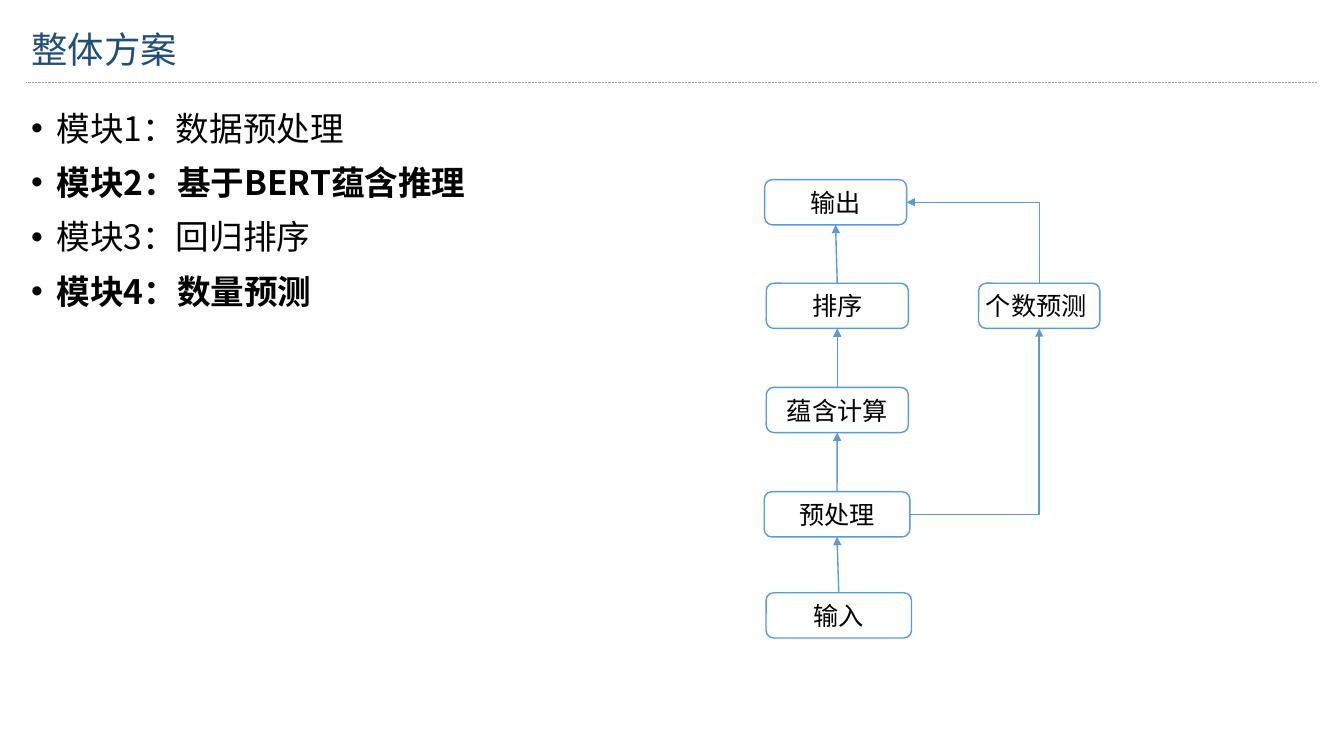
from lxml import etree
from pptx import Presentation
from pptx.dml.color import RGBColor
from pptx.enum.dml import MSO_LINE
from pptx.enum.shapes import MSO_CONNECTOR, MSO_SHAPE
from pptx.enum.text import MSO_ANCHOR, PP_ALIGN
from pptx.oxml.ns import qn
from pptx.util import Pt

STRAIGHT, ELBOW = MSO_CONNECTOR.STRAIGHT, MSO_CONNECTOR.ELBOW
BOX = MSO_SHAPE.FLOWCHART_ALTERNATE_PROCESS
DOTS = MSO_LINE.ROUND_DOT
MIDDLE, TOP = MSO_ANCHOR.MIDDLE, MSO_ANCHOR.TOP
CENTER, LEFT = PP_ALIGN.CENTER, PP_ALIGN.LEFT
UP, DOWN, RIGHT = 0, 2, 3  # connection sites of a box

CJK, LATIN = "Noto Sans CJK SC", "Calibri"
COLORS = {"title": "1F4E79", "text": "000000", "rule": "A5A5A5",
          "flow": "5B9BD5", "box": "FFFFFF"}

TITLE = "整体方案"
MODULES = [("模块1：数据预处理", False), ("模块2：基于BERT蕴含推理", True),
           ("模块3：回归排序", False), ("模块4：数量预测", True)]

# name: left, top, width, alignment
STEPS = {
    "输入": (547.2, 423.4, 103.9, CENTER),
    "预处理": (545.9, 351.2, 104, CENTER),
    "蕴含计算": (547.3, 276.7, 101.5, CENTER),
    "排序": (547.3, 202.3, 101.5, CENTER),
    "输出": (546.2, 128.3, 101.4, CENTER),
    "个数预测": (699, 202.3, 86.6, LEFT),
}
STEP_H = 32.3
CHAIN = ["输入", "预处理", "蕴含计算", "排序", "输出"]


def color(key):
    return RGBColor.from_string(COLORS[key])


def style(para, font, size, tint, bold=False):
    for run in para.runs:
        run.font.name, run.font.size, run.font.bold = font, Pt(size), bold
        run.font.color.rgb = color(tint)
        east = etree.SubElement(run._r.get_or_add_rPr(), qn("a:ea"))
        east.set("typeface", CJK)


def frame(shape, anchor):
    text = shape.text_frame
    text.word_wrap, text.vertical_anchor = True, anchor
    text.margin_left = text.margin_right = Pt(3.6)
    text.margin_top = text.margin_bottom = Pt(3.6)
    return text


def add_text(slide, left, top, width, height, anchor):
    box = slide.shapes.add_textbox(Pt(left), Pt(top), Pt(width), Pt(height))
    return frame(box, anchor)


def add_bullet(para):
    props = para._p.get_or_add_pPr()
    props.set("marL", str(Pt(18)))
    props.set("indent", str(-Pt(18)))
    font = etree.SubElement(props, qn("a:buFont"))
    font.set("typeface", "Arial")
    etree.SubElement(props, qn("a:buChar")).set("char", "•")


def add_step(slide, name):
    left, top, width, align = STEPS[name]
    box = slide.shapes.add_shape(BOX, Pt(left), Pt(top), Pt(width), Pt(STEP_H))
    box.shadow.inherit = False
    box.fill.solid()
    box.fill.fore_color.rgb = color("box")
    box.line.color.rgb = color("flow")
    box.line.width = Pt(1)
    text = frame(box, MIDDLE)
    text.text = name
    text.paragraphs[0].alignment = align
    style(text.paragraphs[0], LATIN, 18, "text")
    return box


def add_line(slide, kind, tint, width, ends=(0, 0, 0, 0)):
    line = slide.shapes.add_connector(kind, *map(Pt, ends))
    line.line.color.rgb = color(tint)
    line.line.width = Pt(width)
    etree.SubElement(line._element.spPr, qn("a:effectLst"))
    return line


def link(slide, start, end, kind=STRAIGHT, tip="a:tailEnd"):
    """Join two (box, site) pairs; an elbow has a single corner."""
    line = add_line(slide, kind, "flow", 1)
    line.begin_connect(*start)
    line.end_connect(*end)
    if kind == ELBOW:
        line._element.spPr.find(qn("a:prstGeom")).set("prst", "bentConnector2")
    etree.SubElement(line.line._get_or_add_ln(), qn(tip)).set("type", "triangle")


def main():
    deck = Presentation()
    deck.slide_width, deck.slide_height = Pt(960), Pt(540)
    slide = deck.slides.add_slide(deck.slide_layouts[6])

    rule = add_line(slide, STRAIGHT, "rule", 0.5, (18.7, 59, 941, 59))
    rule.line.dash_style = DOTS

    title = add_text(slide, 18.7, 15.8, 828, 42.5, MIDDLE)
    title.text = TITLE
    title.paragraphs[0].line_spacing = 0.9
    style(title.paragraphs[0], CJK, 26, "title")

    body = add_text(slide, 18.7, 73.4, 912, 421, TOP)
    body.text = "\n".join(name for name, _ in MODULES)
    for para, (_, bold) in zip(body.paragraphs, MODULES):
        para.line_spacing, para.space_before = Pt(28.8), Pt(10)
        add_bullet(para)
        style(para, CJK, 24, "text", bold)

    boxes = {name: add_step(slide, name) for name in STEPS}
    for low, high in zip(CHAIN, CHAIN[1:]):
        link(slide, (boxes[low], UP), (boxes[high], DOWN))
    count = boxes["个数预测"]
    link(slide, (boxes["预处理"], RIGHT), (count, DOWN), ELBOW)
    link(slide, (boxes["输出"], RIGHT), (count, UP), ELBOW, "a:headEnd")

    deck.save("out.pptx")


if __name__ == "__main__":
    main()
